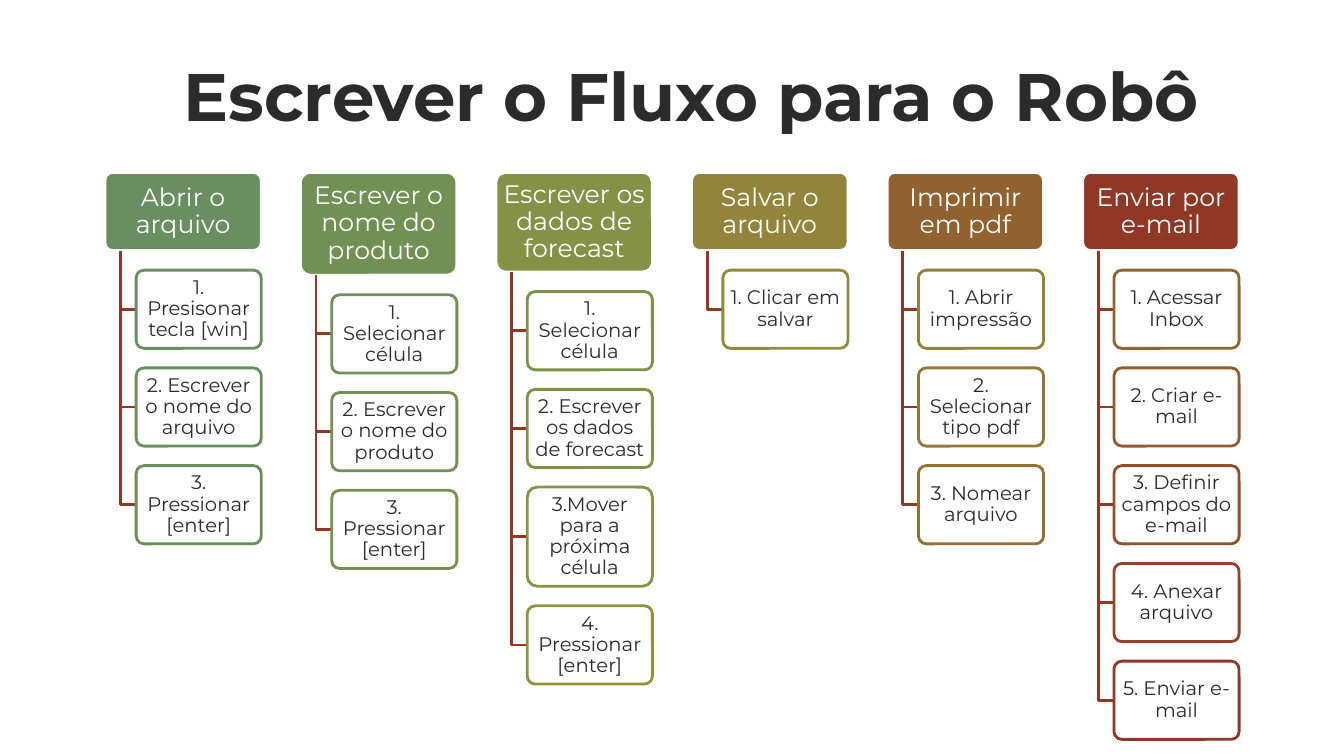
from colorsys import hls_to_rgb, rgb_to_hls

from pptx import Presentation
from pptx.dml.color import RGBColor
from pptx.enum.shapes import MSO_SHAPE
from pptx.enum.text import MSO_ANCHOR, PP_ALIGN
from pptx.util import Inches, Pt

FONT = "Montserrat"
COLORS = {"first": "688E61", "last": "903826", "ink": "2B2B2B", "white": "FFFFFF"}

# Grid: six columns 8 units wide with gaps of 2 units
UNIT = 11.25 / 58
COLUMN, PITCH = 8, 10
BOX, GAP = 4, 1
TRUNK, INDENT = 0.8, 1.6

# Header, header height, steps as (text, height)
STAGES = [
    ("Abrir o arquivo", BOX, [
        ("1. Presisonar tecla [win]", BOX),
        ("2. Escrever o nome do arquivo", BOX),
        ("3. Pressionar [enter]", BOX)]),
    ("Escrever o nome do produto", 5.26, [
        ("1. Selecionar célula", BOX),
        ("2. Escrever o nome do produto", BOX),
        ("3. Pressionar [enter]", BOX)]),
    ("Escrever os dados de forecast", 5.1, [
        ("1. Selecionar célula", BOX),
        ("2. Escrever os dados de forecast", BOX),
        ("3.Mover para a próxima célula", 5.07),
        ("4. Pressionar [enter]", BOX)]),
    ("Salvar o arquivo", BOX, [
        ("1. Clicar em salvar", BOX)]),
    ("Imprimir em pdf", BOX, [
        ("1. Abrir impressão", BOX),
        ("2. Selecionar tipo pdf", BOX),
        ("3. Nomear arquivo", BOX)]),
    ("Enviar por e-mail", BOX, [
        ("1. Acessar Inbox", BOX),
        ("2. Criar e-mail", BOX),
        ("3. Definir campos do e-mail", BOX),
        ("4. Anexar arquivo", BOX),
        ("5. Enviar e-mail", BOX)]),
]


def color(name):
    return RGBColor.from_string(COLORS[name])


def blend(share):
    """Colour at a share of the way from first to last, by hue."""
    first, last = (rgb_to_hls(*(part / 255 for part in color(name)))
                   for name in ("first", "last"))
    mixed = hls_to_rgb(*(a + (b - a) * share for a, b in zip(first, last)))
    return RGBColor(*(round(part * 255) for part in mixed))


def write(frame, text, size, ink, inset, bold=False):
    frame.margin_left = frame.margin_right = Inches(inset[0])
    frame.margin_top = frame.margin_bottom = Inches(inset[1])
    paragraph = frame.paragraphs[0]
    paragraph.alignment = PP_ALIGN.CENTER
    run = paragraph.add_run()
    run.text = text
    run.font.name, run.font.size, run.font.bold = FONT, Pt(size), bold
    run.font.color.rgb = color(ink)
    return paragraph


def add_title(slide, left, top, width, height):
    title = slide.shapes.add_textbox(*map(Inches, (left, top, width, height)))
    title.text_frame.word_wrap = False
    write(title.text_frame, "Escrever o Fluxo para o Robô", 48, "ink", (0.05, 0.05), True)


def add_card(slide, box, text, size, ink, fill, line, inset):
    card = slide.shapes.add_shape(MSO_SHAPE.ROUNDED_RECTANGLE, *map(Inches, box))
    card.adjustments[0] = 0.1
    card.shadow.inherit = False
    card.fill.solid()
    card.fill.fore_color.rgb = fill
    card.line.color.rgb = line
    card.line.width = Pt(2)
    card.text_frame.word_wrap = True
    card.text_frame.vertical_anchor = MSO_ANCHOR.MIDDLE
    write(card.text_frame, text, size, ink, inset).line_spacing = 0.9


def add_branch(slide, x, top, middle, end):
    builder = slide.shapes.build_freeform(Inches(x), Inches(top))
    builder.add_line_segments(
        [(Inches(x), Inches(middle)), (Inches(end), Inches(middle))], close=False)
    branch = builder.convert_to_shape()
    branch.shadow.inherit = False
    branch.fill.background()
    branch.line.color.rgb = color("last")
    branch.line.width = Pt(2)


def add_stage(slide, left, top, stage, fill, step_lines):
    header, header_height, steps = stage
    # Header
    add_card(slide, (left, top, COLUMN * UNIT, header_height * UNIT),
             header, 18, "white", fill, color("white"), (0.04, 0.03))
    # Steps, each hung from the header by a branch
    trunk_top = top + header_height * UNIT
    step_left = left + INDENT * UNIT
    step_top = trunk_top + GAP * UNIT
    for (text, units), line in zip(steps, step_lines):
        height = units * UNIT
        add_branch(slide, left + TRUNK * UNIT, trunk_top, step_top + height / 2, step_left)
        add_card(slide, (step_left, step_top, (COLUMN - INDENT) * UNIT, height),
                 text, 14, "ink", color("white"), line, (0.03, 0.02))
        step_top += height + GAP * UNIT


def add_flow(slide, left, top):
    step_count = sum(len(steps) for _, _, steps in STAGES)
    step_lines = iter([blend(i / (step_count - 1)) for i in range(step_count)])
    for i, stage in enumerate(STAGES):
        lines = [next(step_lines) for _ in stage[2]]
        add_stage(slide, left + i * PITCH * UNIT, top, stage,
                  blend(i / (len(STAGES) - 1)), lines)


def main():
    deck = Presentation()
    deck.slide_width, deck.slide_height = Inches(13.33), Inches(7.5)
    slide = deck.slides.add_slide(deck.slide_layouts[6])
    add_flow(slide, 1.04, 1.71)
    add_title(slide, 1.69, 0.49, 10.33, 0.91)
    deck.save("out.pptx")


if __name__ == "__main__":
    main()
